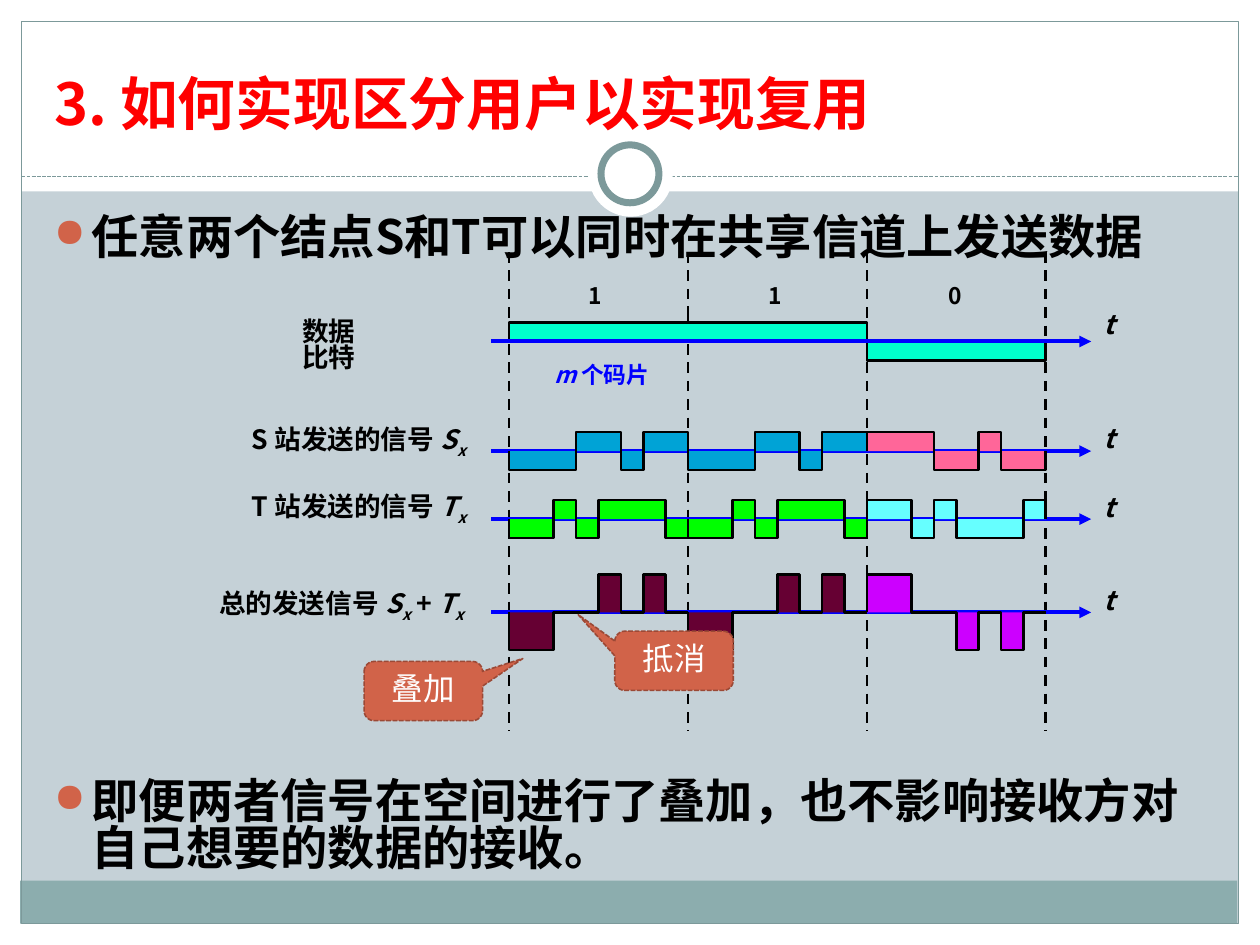
from lxml.etree import SubElement as Sub
from pptx import Presentation
from pptx.dml.color import RGBColor
from pptx.enum.dml import MSO_LINE as Dash
from pptx.enum.shapes import MSO_CONNECTOR as Conn, MSO_SHAPE as Kind
from pptx.enum.text import MSO_ANCHOR as Anchor, PP_ALIGN as Align
from pptx.oxml.ns import qn
from pptx.util import Inches, Pt

FONT = "Noto Sans CJK SC"
TITLE = "3. 如何实现区分用户以实现复用"
POINTS = [
    (1.67, "任意两个结点S和T可以同时在共享信道上发送数据"),
    (6.15, "即便两者信号在空间进行了叠加，也不影响接收方对自己想要的数据的接收。"),
]

# Signals: data bits and the chip codes of both stations
BITS = [1, 1, -1]
S_CODE = [-1, -1, -1, 1, 1, -1, 1, 1]
T_CODE = [-1, -1, 1, -1, 1, 1, 1, -1]
SUM = [s + t for s, t in zip(S_CODE, T_CODE)]
ROWS = [  # axis height, code, colour for bit 1, colour for bit 0
    (3.58, S_CODE, "00A3D6", "FF6699"),
    (4.12, T_CODE, "00FF00", "66FFFF"),
    (4.86, SUM, "660033", "CC00FF"),
]
DATA_Y = 2.71
X0, BIT_W, AMP = 4.04, 1.42, 0.15

# Labels: box, then runs as (text, style); i is italic, s is subscript
SX = [("S", "i"), ("x", "is")]
TX = [("T", "i"), ("x", "is")]
LABELS = [
    ((2.3, 2.49, 0.81, 0.28), [("数据比特", "")]),
    ((1.9, 3.33, 1.97, 0.42), [("S 站发送的信号 ", "")] + SX),
    ((1.9, 3.86, 1.98, 0.42), [("T 站发送的信号 ", "")] + TX),
    ((1.64, 4.63, 2.29, 0.42),
     [("总的发送信号 ", "")] + SX + [(" + ", "")] + TX),
]
T_TOPS = [2.44, 3.34, 3.89, 4.63]
CALLS = [
    ("叠加", 2.89, 5.25, (0.84, -0.55, 0.17)),
    ("抵消", 4.88, 5.01, (-0.81, -0.78, 0.17)),
]

prs = Presentation()
prs.slide_width, prs.slide_height = Inches(10), Inches(7.5)
slide = prs.slides.add_slide(prs.slide_layouts[5])
shapes = slide.shapes


def rgb(code):
    return RGBColor.from_string(code)


def paint(shape, fill=None, line=None, width=0.75, dash=None):
    shape.shadow.inherit = False
    if fill:
        shape.fill.solid()
        shape.fill.fore_color.rgb = rgb(fill)
    else:
        shape.fill.background()
    if line:
        shape.line.color.rgb = rgb(line)
        shape.line.width = Pt(width)
        if dash:
            shape.line.dash_style = dash
    else:
        shape.line.fill.background()


def block(box, kind=Kind.RECTANGLE, **look):
    shape = shapes.add_shape(kind, *map(Inches, box))
    paint(shape, **look)
    return shape


def rule(x1, y1, x2, y2, color, width, dash=None, arrow=False):
    line = shapes.add_connector(Conn.STRAIGHT, *map(Inches, (x1, y1, x2, y2)))
    line.line.color.rgb = rgb(color)
    line.line.width = Pt(width)
    if dash:
        line.line.dash_style = dash
    if arrow:
        Sub(line.line._get_or_add_ln(), qn("a:tailEnd"), type="triangle")
    Sub(line._element.spPr, qn("a:effectLst"))


def write(frame, runs, size=15.2, color="000000", bold=True, align=Align.LEFT,
          anchor=Anchor.TOP, space=0.83, bullet=False):
    frame.word_wrap = True
    frame.vertical_anchor = anchor
    para = frame.paragraphs[0]
    para.alignment, para.line_spacing = align, space
    for text, style in runs:
        run = para.add_run()
        run.text = text
        font = run.font
        font.name, font.size, font.bold = FONT, Pt(size), bold
        font.italic = "i" in style
        font.color.rgb = rgb(color)
        props = run._r.get_or_add_rPr()
        Sub(props, qn("a:ea"), typeface=FONT)
        if "s" in style:
            props.set("baseline", "-25000")
    if bullet:
        props = para._p.get_or_add_pPr()
        props.set("marL", str(Inches(0.3)))
        props.set("indent", str(-Inches(0.3)))
        Sub(Sub(props, qn("a:buClr")), qn("a:srgbClr"), val="D16349")
        Sub(props, qn("a:buSzPct"), val="85000")
        Sub(props, qn("a:buChar"), char="●")


def label(box, runs, **look):
    write(shapes.add_textbox(*map(Inches, box)).text_frame, runs, **look)


def wave(x, y, step, levels, fill):
    pts = []
    for i, level in enumerate(levels):
        top = y - level * AMP
        pts += [(x + i * step, top), (x + (i + 1) * step, top)]
    pts.append((x + len(levels) * step, y))
    path = shapes.build_freeform(Inches(x), Inches(y))
    path.add_line_segments([(Inches(a), Inches(b)) for a, b in pts], close=False)
    paint(path.convert_to_shape(), fill=fill, line="000000", width=1.5)


def axis(y):
    rule(3.9, y, 8.66, y, "0000FF", 2.25, arrow=True)


# Backdrop
slide.background.fill.solid()
slide.background.fill.fore_color.rgb = rgb("C5D1D7")
for box in [(0, 7.33, 10, 0.17), (0, 0, 10, 1.52),
            (0, 0, 0.17, 7.5), (9.83, 0, 0.17, 7.5)]:
    block(box, fill="FFFFFF")
block((0.16, 6.99, 9.66, 0.34), fill="8CADAE")
block((0.17, 0.17, 9.66, 7.16), line="7C999A")
rule(0.17, 1.4, 9.83, 1.4, "7C999A", 0.75, Dash.SQUARE_DOT)
block((4.67, 1.05, 0.67, 0.67), Kind.OVAL, fill="FFFFFF")
block((4.77, 1.15, 0.46, 0.46), Kind.OVAL, fill="FFFFFF", line="7C999A", width=4)

# Title, raised above the backdrop, and bullet points
title = shapes.title
title.left, title.top, title.width, title.height = map(
    Inches, (0.33, 0.31, 9.33, 0.83))
write(title.text_frame, [(TITLE, "")], size=33, color="FF0000",
      anchor=Anchor.BOTTOM)
title._element.getparent().append(title._element)
for top, text in POINTS:
    label((0.33, top, 9.3, 0.9), [(text, "")], size=27, bullet=True)

# Bit borders and bit values
for i in range(len(BITS) + 1):
    x = X0 + i * BIT_W
    rule(x, 2, x, 5.8, "000000", 1.5, Dash.DASH)
rule(X0 + BIT_W, 2.43, X0 + BIT_W, 2.58, "000000", 0.75)
for i, bit in enumerate(BITS):
    label((4.57 + i * 1.43, 2.22, 0.32, 0.38),
          [("1" if bit > 0 else "0", "")], size=13)

# Labels
for box, runs in LABELS:
    label(box, runs)
for top in T_TOPS:
    label((8.66, top, 0.29, 0.36), [("t", "i")])
label((4.3, 2.78, 0.99, 0.42), [("m ", "i"), ("个码片", "")],
      size=13, color="0000FF", space=Pt(18))

# Waves: a 0 bit sends the inverted code
for y, code, one, zero in ROWS:
    axis(y)
    for i, bit in enumerate(BITS):
        wave(X0 + i * BIT_W, y, BIT_W / len(code), [bit * c for c in code],
             one if bit > 0 else zero)
wave(X0, DATA_Y, BIT_W, BITS, "00FFCC")
axis(DATA_Y)

# Callouts
for text, x, y, adj in CALLS:
    call = block((x, y, 0.94, 0.47), Kind.ROUNDED_RECTANGULAR_CALLOUT,
                 fill="D16349", line="9B4936", width=0.9, dash=Dash.SQUARE_DOT)
    for i, value in enumerate(adj):
        call.adjustments[i] = value
    write(call.text_frame, [(text, "")], size=18, color="FFFFFF", bold=False,
          align=Align.CENTER, anchor=Anchor.MIDDLE)

prs.save("out.pptx")
